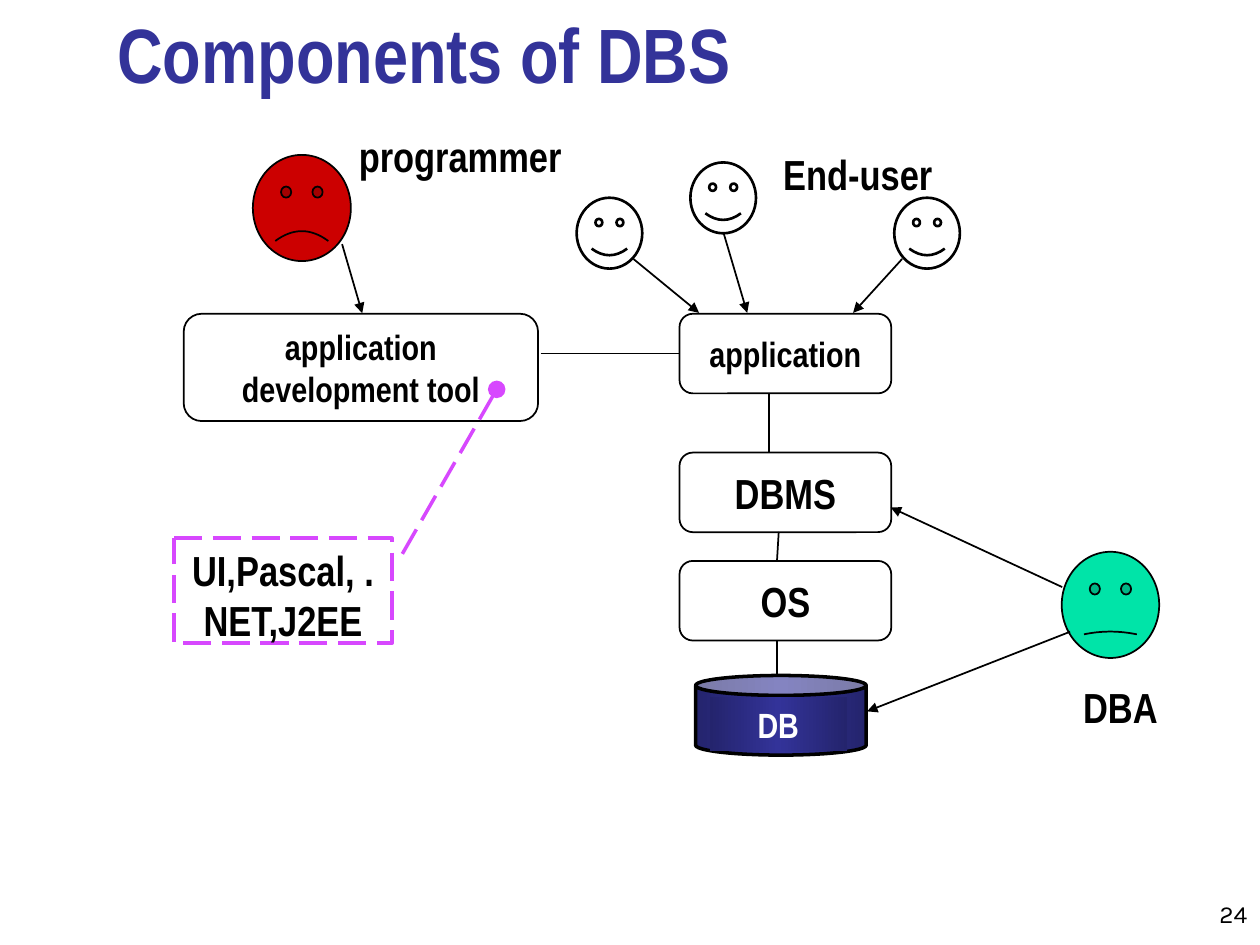
"""Build the slide "Components of DBS": people, software layers and their links."""
import copy
from dataclasses import dataclass
from typing import Optional

import lxml.etree
import pptx
import pptx.dml.color
import pptx.enum.dml
import pptx.enum.shapes
import pptx.enum.text
import pptx.oxml.ns
import pptx.util

Pt = pptx.util.Pt
Kind = pptx.enum.shapes.MSO_SHAPE
Align = pptx.enum.text.PP_ALIGN
Anchor = pptx.enum.text.MSO_ANCHOR
qn = pptx.oxml.ns.qn


@dataclass(frozen=True)
class Theme:
    font: str = "Arial Narrow"
    number_font: str = "Karla"
    ink: str = "000000"
    white: str = "FFFFFF"
    title: str = "333399"
    db_edge: str = "24246D"
    callout: str = "D748FE"
    programmer: str = "CC0000"
    dba: str = "00E4A8"
    title_size: float = 44
    large: float = 24
    medium: float = 20
    small: float = 14


@dataclass(frozen=True)
class Box:
    left: float
    top: float
    width: float
    height: float

    def lengths(self) -> tuple:
        """Give the place and size as lengths."""
        return tuple(Pt(v) for v in (self.left, self.top, self.width, self.height))


@dataclass(frozen=True)
class Face:
    box: Box
    mouth: float = 0.047
    fill: Optional[str] = None
    weight: float = 1


@dataclass(frozen=True)
class Layer:
    box: Box
    label: str
    size: float
    wrap: bool = False


@dataclass(frozen=True)
class Link:
    start: tuple
    end: tuple
    arrow: bool = True


@dataclass(frozen=True)
class Caption:
    box: Box
    label: str
    align: Align = Align.CENTER


THEME = Theme()
SMILEY_WIDTH, SMILEY_HEIGHT = 37.5, 40.5
LAYER_LEFT, LAYER_WIDTH, LAYER_HEIGHT = 388.3, 121, 45.5

FACES = [Face(Box(left, top, SMILEY_WIDTH, SMILEY_HEIGHT), weight=1.5)
         for left, top in ((329.5, 113), (394.5, 92.8), (511, 113))]
FACES += [
    Face(Box(606.7, 315.3, 55.7, 60.7), -0.013, THEME.dba),
    Face(Box(144.5, 88.5, 56, 60.7), -0.047, THEME.programmer),
]

LAYERS = [Layer(Box(LAYER_LEFT, top, LAYER_WIDTH, LAYER_HEIGHT), label, size)
          for label, top, size in (("application", 179.3, THEME.medium),
                                   ("DBMS", 258.6, THEME.large),
                                   ("OS", 320.5, THEME.large))]
LAYERS.append(Layer(Box(105, 179.3, 202.5, 61.3), "application development tool",
                    THEME.medium, True))

LINKS = [
    Link((362, 148), (399.5, 178.8)),
    Link((413.5, 133.2), (427, 178.8)),
    Link((515.5, 148), (487.5, 178.8)),
    Link((309, 202), (388.5, 202), False),
    Link((439.5, 224.5), (439.5, 258.5), False),
    Link((445, 304), (444, 320.5), False),
    Link((444, 366), (444, 386), False),
    Link((611.5, 361), (495.5, 406.5)),
    Link((607, 335.5), (509, 290)),
    Link((195.5, 139.5), (207, 179)),
]

CAPTIONS = [
    Caption(Box(440.5, 81.5, 100, 36), "End-user", Align.LEFT),
    Caption(Box(611.5, 386, 57.5, 36), "DBA"),
    Caption(Box(190.5, 71, 145, 36), "programmer"),
]


def rgb(value: str) -> pptx.dml.color.RGBColor:
    """Turn a hex string into a colour."""
    return pptx.dml.color.RGBColor.from_string(value)


def write(shape, text: str, *, size: float = THEME.large, color: str = THEME.ink,
          font: str = THEME.font, bold: bool = True, align: Align = Align.CENTER,
          anchor: Anchor = Anchor.TOP, wrap: bool = True) -> None:
    """Put one formatted paragraph into a shape."""
    frame = shape.text_frame
    frame.word_wrap = wrap
    frame.vertical_anchor = anchor
    paragraph = frame.paragraphs[0]
    paragraph.alignment = align
    run = paragraph.add_run()
    run.text = text
    run.font.name, run.font.size, run.font.bold = font, Pt(size), bold
    run.font.color.rgb = rgb(color)


def add_text(slide, box: Box, text: str, **style) -> None:
    """Add a text box."""
    write(slide.shapes.add_textbox(*box.lengths()), text, **style)


def add_shape(slide, kind: Kind, box: Box, *, fill: Optional[str] = None,
              line: Optional[str] = THEME.ink, weight: float = 1, adjust: tuple = ()):
    """Add a preset shape without shadow."""
    shape = slide.shapes.add_shape(kind, *box.lengths())
    shape.shadow.inherit = False
    if fill:
        shape.fill.solid()
        shape.fill.fore_color.rgb = rgb(fill)
    else:
        shape.fill.background()
    if line:
        shape.line.color.rgb = rgb(line)
        shape.line.width = Pt(weight)
    else:
        shape.line.fill.background()
    for index, value in enumerate(adjust):
        shape.adjustments[index] = value
    return shape


def add_tail(line, kind: str, size: str = "med") -> None:
    """Set the marker at the end of a line."""
    properties = line._get_or_add_ln()
    lxml.etree.SubElement(properties, qn("a:tailEnd"), type=kind, w=size, len=size)


def add_link(slide, link: Link) -> None:
    """Draw a straight link, with an arrowhead if it has one."""
    connector = slide.shapes.add_connector(
        pptx.enum.shapes.MSO_CONNECTOR.STRAIGHT,
        *(Pt(v) for v in link.start + link.end))
    connector.line.color.rgb = rgb(THEME.ink)
    connector.line.width = Pt(1)
    if link.arrow:
        add_tail(connector.line, "triangle")
    lxml.etree.SubElement(connector._element.spPr, qn("a:effectLst"))


def shade(shape) -> None:
    """Fill a shape with the three-stop database gradient."""
    shape.fill.gradient()
    shape.fill.gradient_angle = 0
    stop_list = shape._element.spPr.find(qn("a:gradFill")).find(qn("a:gsLst"))
    stop_list.append(copy.deepcopy(stop_list[-1]))
    colors = (THEME.db_edge, THEME.title, THEME.db_edge)
    for stop, color, position in zip(shape.fill.gradient_stops, colors, (0, 0.5, 1)):
        stop.color.rgb = rgb(color)
        stop.position = position


def add_database(slide) -> None:
    """Draw the database drum and its label."""
    shade(add_shape(slide, Kind.CAN, Box(397.5, 386, 97.5, 45.5), weight=2, adjust=(0.25,)))
    label = add_shape(slide, Kind.RECTANGLE, Box(405.5, 398.3, 78.5, 31), line=None)
    shade(label)
    write(label, "DB", size=THEME.medium, color=THEME.white)


def add_tool_callout(slide) -> None:
    """Draw the dashed callout that lists development tools."""
    callout = add_shape(slide, Kind.LINE_CALLOUT_1, Box(99.5, 307.5, 124.5, 60),
                        line=THEME.callout, weight=2, adjust=(0.15, 1.048, -1.417, 1.481))
    callout.line.dash_style = pptx.enum.dml.MSO_LINE.LONG_DASH
    add_tail(callout.line, "oval", "lg")
    write(callout, "UI,Pascal, .NET,J2EE")


def main() -> None:
    """Build and save the slide."""
    deck = pptx.Presentation()
    deck.slide_width, deck.slide_height = Pt(720), Pt(540)
    slide = deck.slides.add_slide(deck.slide_layouts[6])
    add_text(slide, Box(671.8, 498, 48, 36), "24", size=THEME.small, bold=False,
             font=THEME.number_font, align=Align.RIGHT, anchor=Anchor.BOTTOM)
    add_text(slide, Box(60, 6, 613.5, 54), "Components of DBS", size=THEME.title_size,
             color=THEME.title, align=Align.LEFT, anchor=Anchor.BOTTOM)
    add_database(slide)
    for face in FACES:
        add_shape(slide, Kind.SMILEY_FACE, face.box, fill=face.fill,
                  weight=face.weight, adjust=(face.mouth,))
    for layer in LAYERS:
        shape = add_shape(slide, Kind.ROUNDED_RECTANGLE, layer.box, adjust=(0.167,))
        write(shape, layer.label, size=layer.size, anchor=Anchor.MIDDLE, wrap=layer.wrap)
    for link in LINKS:
        add_link(slide, link)
    for caption in CAPTIONS:
        add_text(slide, caption.box, caption.label, align=caption.align, wrap=False)
    add_tool_callout(slide)
    deck.save("out.pptx")


if __name__ == "__main__":
    main()
